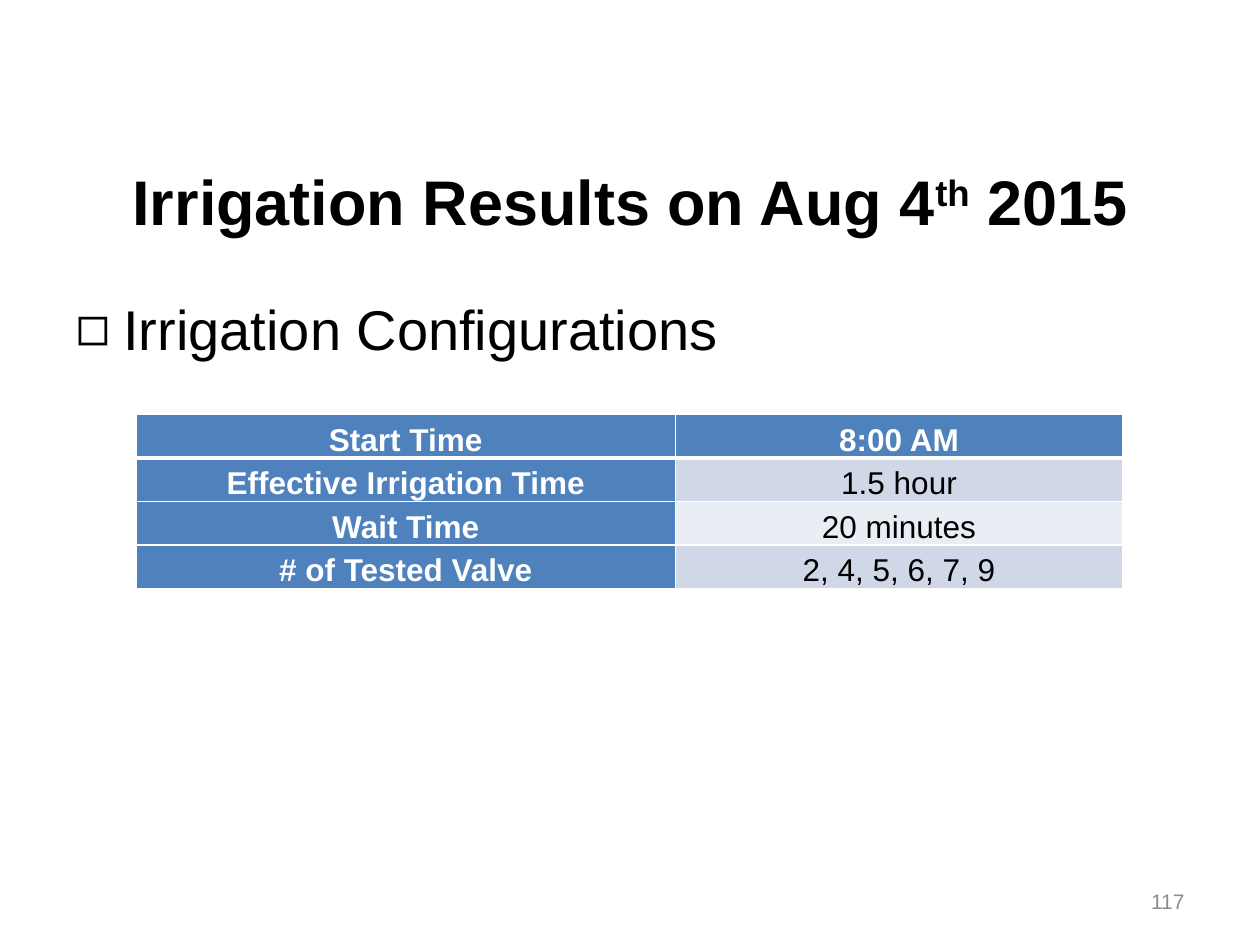
"""Build the irrigation results slide with its configuration table."""
from dataclasses import dataclass

from lxml import etree
from pptx import Presentation
from pptx.dml.color import RGBColor
from pptx.enum.text import MSO_ANCHOR, MSO_AUTO_SIZE, PP_ALIGN
from pptx.oxml.ns import qn
from pptx.util import Inches, Pt

LEFT, CENTER, RIGHT = PP_ALIGN.LEFT, PP_ALIGN.CENTER, PP_ALIGN.RIGHT
TOP, MIDDLE, BOTTOM = MSO_ANCHOR.TOP, MSO_ANCHOR.MIDDLE, MSO_ANCHOR.BOTTOM
NO_AUTOFIT = MSO_AUTO_SIZE.NONE


@dataclass(frozen=True)
class Theme:
    font: str = "Arial"
    black: str = "000000"
    white: str = "FFFFFF"
    gray: str = "8C8C8C"
    heading: str = "4F81BD"
    bands: tuple = ("E9EDF4", "D0D8E8")
    title_size: int = 36
    body_size: int = 32
    table_size: int = 18
    number_size: int = 12


THEME = Theme()


def write(frame, text, size, color=THEME.black, bold=False, align=LEFT,
          anchor=TOP, superscript=None, bullet=None, line_spacing=None, after=0):
    """Write one formatted paragraph into a text frame."""
    frame.word_wrap = True
    frame.vertical_anchor = anchor
    paragraph = frame.paragraphs[0]
    if bullet:
        properties = paragraph._p.get_or_add_pPr()
        properties.set("marL", str(Inches(0.38)))
        properties.set("indent", str(-Inches(0.38)))
        etree.SubElement(properties, qn("a:buChar")).set("char", bullet)
    paragraph.alignment = align
    paragraph.space_before = Pt(0)
    paragraph.space_after = Pt(after)
    if line_spacing:
        paragraph.line_spacing = line_spacing
    before, raised, rest = text.partition(superscript) if superscript else (text, "", "")
    for part in filter(None, (before, raised, rest)):
        run = paragraph.add_run()
        run.text = part
        run.font.name = THEME.font
        run.font.size = Pt(size)
        run.font.bold = bold
        run.font.color.rgb = RGBColor.from_string(color)
        if part == superscript:
            run._r.get_or_add_rPr().set("baseline", "30000")


def add_border(cell, side, width):
    """Draw one white side of a table cell."""
    line = etree.SubElement(cell._tc.get_or_add_tcPr(), qn(f"a:ln{side}"), w=str(Pt(width)))
    fill = etree.SubElement(line, qn("a:solidFill"))
    etree.SubElement(fill, qn("a:srgbClr"), val=THEME.white)


presentation = Presentation()
presentation.slide_width = Inches(10)
presentation.slide_height = Inches(7.5)
slide = presentation.slides.add_slide(presentation.slide_layouts[1])

title, topics = slide.placeholders
title.left, title.top = Inches(0.5), Inches(1.15)
title.width, title.height = Inches(9), Inches(0.88)
title.text_frame.auto_size = NO_AUTOFIT
write(title.text_frame, "Irrigation Results on Aug 4th 2015", THEME.title_size,
      bold=True, align=CENTER, anchor=MIDDLE, superscript="th")

topics.left, topics.top = Inches(0.5), Inches(2.29)
topics.width, topics.height = Inches(9), Inches(4.41)
topics.text_frame.auto_size = NO_AUTOFIT
write(topics.text_frame, "Irrigation Configurations", THEME.body_size, bullet="◻")

page_number = slide.shapes.add_textbox(Inches(7.17), Inches(6.95), Inches(2.33), Inches(0.4))
write(page_number.text_frame, "117", THEME.number_size, color=THEME.gray,
      align=RIGHT, anchor=MIDDLE)

settings = [
    ("Start Time", "8:00 AM"),
    ("Effective Irrigation Time", "1.5 hour"),
    ("Wait Time", "20 minutes"),
    ("# of Tested Valve", "2, 4, 5, 6, 7, 9"),
]
row_height = Inches(0.32)
configuration = slide.shapes.add_table(
    len(settings), 2, Inches(1.08), Inches(3.29), Inches(7.83), row_height * len(settings)
).table
configuration.first_col = True
for column, width in zip(configuration.columns, (4.28, 3.55)):
    column.width = Inches(width)

for r, setting in enumerate(settings):
    configuration.rows[r].height = row_height
    for c, text in enumerate(setting):
        cell = configuration.cell(r, c)
        is_heading = r == 0 or c == 0
        for side in "LRTB":
            under_header = (r, side) in ((0, "B"), (1, "T"))
            add_border(cell, side, 3 if under_header else 1)
        cell.fill.solid()
        cell.fill.fore_color.rgb = RGBColor.from_string(
            THEME.heading if is_heading else THEME.bands[r % 2])
        cell.margin_left = cell.margin_right = Inches(0.07)
        cell.margin_top = cell.margin_bottom = 0
        cell.vertical_anchor = BOTTOM
        write(cell.text_frame, text, THEME.table_size,
              color=THEME.white if is_heading else THEME.black, bold=is_heading,
              align=CENTER, anchor=BOTTOM, line_spacing=1.15, after=10)

presentation.save("out.pptx")
